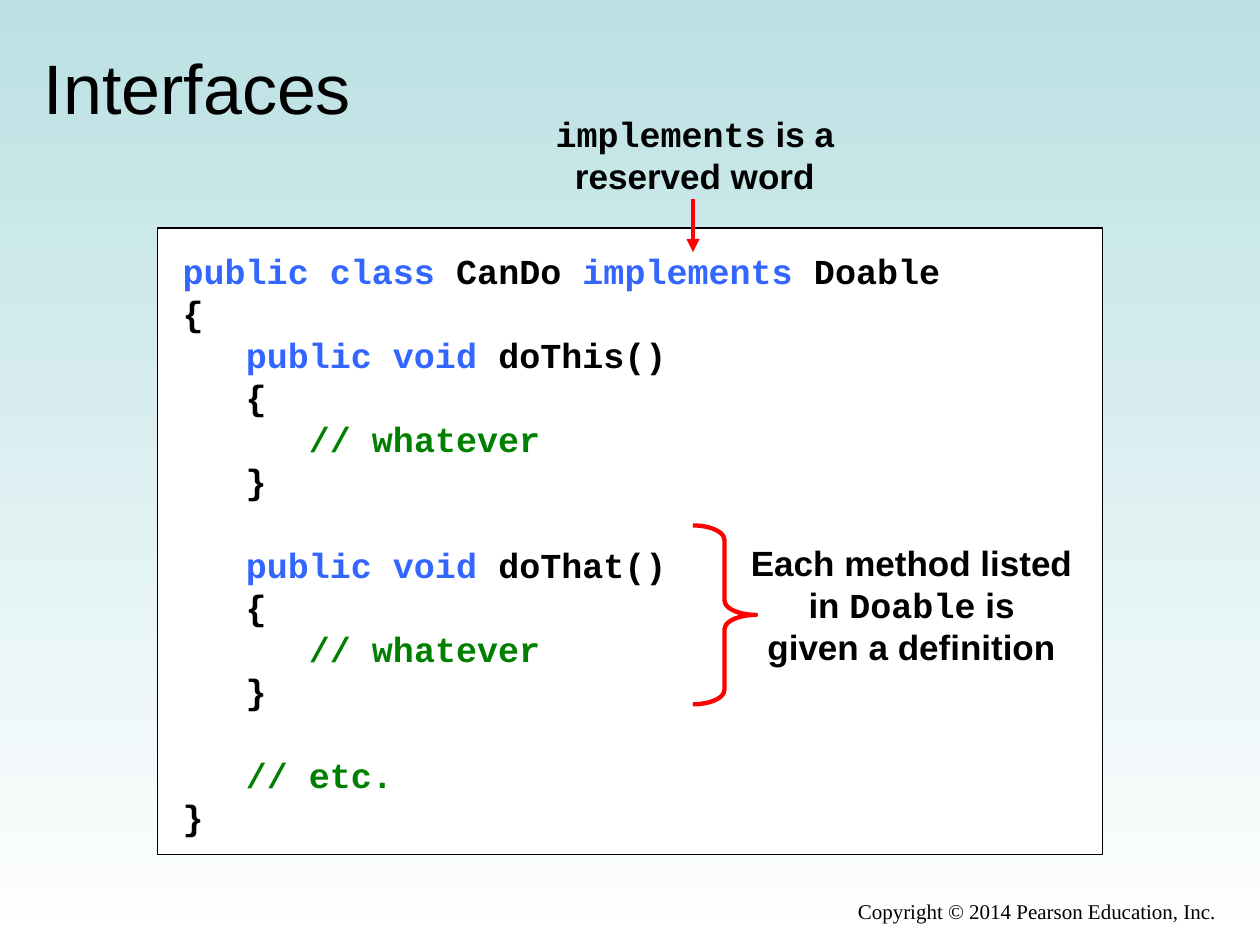
import pptx
import pptx.util
import pptx.dml.color
import pptx.enum.shapes
import pptx.enum.text
import pptx.oxml.ns
import lxml.etree

Inches = pptx.util.Inches
Pt = pptx.util.Pt
Align = pptx.enum.text.PP_ALIGN
Anchor = pptx.enum.text.MSO_ANCHOR
Shape = pptx.enum.shapes.MSO_SHAPE
SANS, MONO, SERIF = "Arial", "Courier New", "Times New Roman"
BLACK, BLUE, GREEN, RED, WHITE = "000000", "3366FF", "008000", "FF0000", "FFFFFF"

CODE = [
    [("public class ", BLUE), ("CanDo ", BLACK), ("implements ", BLUE), ("Doable", BLACK)],
    [("{", BLACK)],
    [("   ", BLACK), ("public void ", BLUE), ("doThis()", BLACK)],
    [("   {", BLACK)],
    [("      ", BLACK), ("// whatever", GREEN)],
    [("   }", BLACK)],
    [("   ", BLACK), ("public void ", BLUE), ("doThat()", BLACK)],
    [("   {", BLACK)],
    [("      ", BLACK), ("// whatever", GREEN)],
    [("   }", BLACK)],
    [("   ", BLACK), ("// etc.", GREEN)],
    [("}", BLACK)],
]
GAPS = (6, 10)


def tint(value):
    """Turn a hex string into a colour."""
    return pptx.dml.color.RGBColor.from_string(value)


def style(run, face, size, color=BLACK, bold=False):
    """Format one run."""
    font = run.font
    font.name, font.size, font.bold = face, Pt(size), bold
    font.color.rgb = tint(color)


def write(frame, lines, align, pitch=24, gaps=()):
    """Fill a frame with bold lines of (text, face, colour) runs."""
    for i, line in enumerate(lines):
        para = frame.paragraphs[0] if i == 0 else frame.add_paragraph()
        para.alignment = align
        para.line_spacing = Pt(pitch)
        if i in gaps:
            para.space_before = Pt(pitch)
        for text, face, color in line:
            run = para.add_run()
            run.text = text
            style(run, face, 20, color, True)


def label(slide, left, top, width, height, text, face, size, align, anchor):
    """Place a single line of plain text."""
    box = slide.shapes.add_textbox(Inches(left), Inches(top), Inches(width), Inches(height))
    frame = box.text_frame
    frame.word_wrap = True
    frame.vertical_anchor = anchor
    frame.text = text
    frame.paragraphs[0].alignment = align
    style(frame.paragraphs[0].runs[0], face, size)


def panel(slide, left, top, width, height):
    """Place the framed code listing."""
    box = slide.shapes.add_shape(
        Shape.RECTANGLE, Inches(left), Inches(top), Inches(width), Inches(height))
    box.shadow.inherit = False
    box.fill.solid()
    box.fill.fore_color.rgb = tint(WHITE)
    box.line.color.rgb = tint(BLACK)
    box.line.width = Pt(0.75)
    frame = box.text_frame
    frame.word_wrap = True
    frame.vertical_anchor = Anchor.TOP
    frame.margin_left = frame.margin_right = Inches(0.2)
    frame.margin_top, frame.margin_bottom = Inches(0.17), Inches(0.13)
    lines = [[(text, MONO, color) for text, color in line] for line in CODE]
    write(frame, lines, Align.LEFT, gaps=GAPS)


def note(slide, left, top, width, height, lines):
    """Place a centred remark of (text, face) runs."""
    box = slide.shapes.add_textbox(Inches(left), Inches(top), Inches(width), Inches(height))
    frame = box.text_frame
    frame.word_wrap = False
    frame.vertical_anchor = Anchor.MIDDLE
    write(frame, [[(text, face, BLACK) for text, face in line] for line in lines], Align.CENTER)


def arrow(slide, left, top, height):
    """Draw a red arrow pointing down."""
    line = slide.shapes.add_connector(
        pptx.enum.shapes.MSO_CONNECTOR.STRAIGHT,
        Inches(left), Inches(top), Inches(left), Inches(top + height))
    line.line.color.rgb = tint(RED)
    line.line.width = Pt(2.5)
    qn = pptx.oxml.ns.qn
    props = line.line._get_or_add_ln()
    lxml.etree.SubElement(props, qn("a:tailEnd"), type="triangle")
    lxml.etree.SubElement(props.getparent(), qn("a:effectLst"))


def brace(slide, left, top, width, height):
    """Draw the red brace beside a method."""
    mark = slide.shapes.add_shape(
        Shape.RIGHT_BRACE, Inches(left), Inches(top), Inches(width), Inches(height))
    mark.shadow.inherit = False
    mark.fill.background()
    mark.line.color.rgb = tint(RED)
    mark.line.width = Pt(2.5)
    mark.adjustments[0] = 0.23


def paint(slide):
    """Fill the background from pale teal down to white."""
    fill = slide.background.fill
    fill.gradient()
    fill.gradient_angle = 270
    for stop, color, place in zip(fill.gradient_stops, ("BBE0E3", WHITE), (0, 1)):
        stop.color.rgb = tint(color)
        stop.position = place


def main():
    """Build and save the slide."""
    deck = pptx.Presentation()
    deck.slide_width, deck.slide_height = Inches(10), Inches(7.5)
    slide = deck.slides.add_slide(deck.slide_layouts[6])
    paint(slide)
    label(slide, 0.25, 0.3, 9.5, 0.78, "Interfaces", SANS, 40, Align.LEFT, Anchor.MIDDLE)
    label(slide, 3.67, 7.08, 6.08, 0.34, "Copyright © 2014 Pearson Education, Inc.",
          SERIF, 12, Align.RIGHT, Anchor.TOP)
    panel(slide, 1.25, 1.81, 7.5, 4.97)
    note(slide, 4.31, 0.84, 2.41, 0.77,
         [[("implements", MONO), (" is a", SANS)], [("reserved word", SANS)]])
    arrow(slide, 5.5, 1.58, 0.42)
    note(slide, 5.86, 4.25, 2.75, 1.1,
         [[("Each method listed", SANS)],
          [("in ", SANS), ("Doable", MONO), (" is", SANS)],
          [("given a definition", SANS)]])
    brace(slide, 5.5, 4.17, 0.5, 1.42)
    deck.save("out.pptx")


if __name__ == "__main__":
    main()
